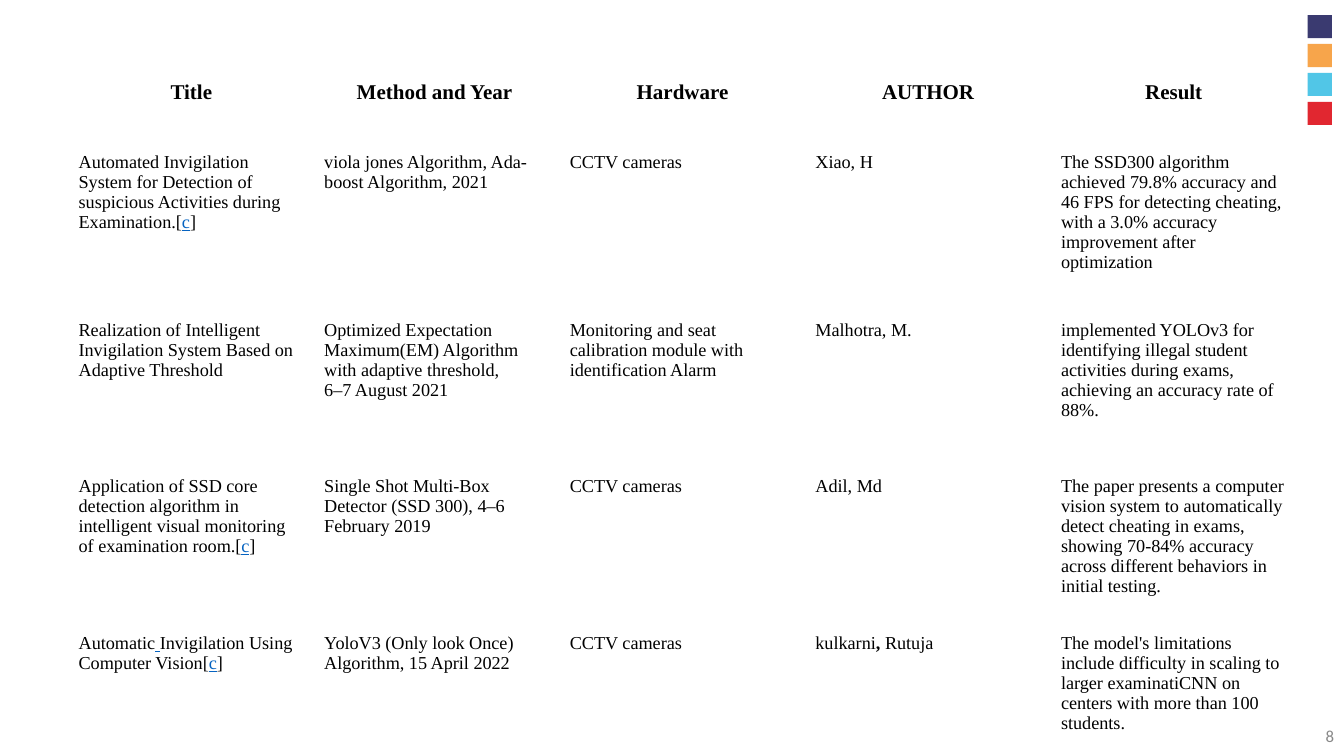
from dataclasses import dataclass

from pptx import Presentation
from pptx.dml.color import RGBColor
from pptx.enum.shapes import MSO_SHAPE
from pptx.enum.text import MSO_ANCHOR, PP_ALIGN
from pptx.util import Inches, Pt


@dataclass(frozen=True)
class Theme:
    ink: str = "000000"
    link: str = "0563C1"
    muted: str = "888888"
    accents: tuple = ("3A3A70", "F7A54B", "51C6E7", "E12730")
    table_font: str = "Times New Roman"
    number_font: str = "Calibri"
    header_size: int = 15
    body_size: int = 13
    number_size: int = 12


THEME = Theme()
BLANK_LAYOUT = 6
LINK, BOLD = "link", "bold"
CITATION = (("[", None), ("c", LINK), ("]", None))

HEADERS = ("Title", "Method and Year ", "Hardware", "AUTHOR", "Result")
ROW_HEIGHTS = (0.71, 1.67, 1.55, 1.55, 1.06)
# A cell is plain text, or a tuple of (text, style) runs.
STUDIES = (
    (
        (("Automated Invigilation System for Detection of suspicious "
          "Activities during Examination.", None), *CITATION),
        "viola jones Algorithm, Ada-boost Algorithm, 2021",
        "CCTV cameras",
        "Xiao, H",
        "The SSD300 algorithm achieved 79.8% accuracy and 46 FPS for detecting "
        "cheating, with a 3.0% accuracy improvement after optimization",
    ),
    (
        "Realization of Intelligent Invigilation System Based on Adaptive Threshold",
        "Optimized Expectation Maximum(EM) Algorithm with adaptive threshold,\n"
        "6–7 August 2021",
        "Monitoring and seat calibration module with identification Alarm",
        "Malhotra, M.",
        "implemented YOLOv3 for identifying illegal student activities during "
        "exams, achieving an accuracy rate of 88%.",
    ),
    (
        (("Application of SSD core detection algorithm in intelligent visual "
          "monitoring of examination room.", None), *CITATION),
        "Single Shot Multi-Box Detector (SSD 300), 4–6 February 2019",
        "CCTV cameras",
        "Adil, Md",
        "The paper presents a computer vision system to automatically detect "
        "cheating in exams, showing 70-84% accuracy across different behaviors "
        "in initial testing.",
    ),
    (
        (("Automatic", None), (" ", LINK),
         ("Invigilation Using Computer Vision", None), *CITATION),
        "YoloV3 (Only look Once) Algorithm, 15 April 2022",
        "CCTV cameras",
        (("kulkarni", None), (", ", BOLD), ("Rutuja", None)),
        "The model's limitations include difficulty in scaling to larger "
        "examinatiCNN on centers with more than 100 students.",
    ),
)


def set_font(font, name, size, color, bold=False):
    font.name, font.size, font.bold = name, Pt(size), bold
    font.color.rgb = RGBColor.from_string(color)


def write_runs(paragraph, runs):
    for text, style in runs:
        run = paragraph.add_run()
        run.text = text
        if style == LINK:
            run.font.underline = True
            run.font.color.rgb = RGBColor.from_string(THEME.link)
        elif style == BOLD:
            run.font.bold = True


def fill_cell(cell, content, is_header):
    cell.fill.background()
    cell.margin_top = cell.margin_bottom = Inches(0.04)
    frame = cell.text_frame
    if isinstance(content, str):
        frame.text = content
    else:
        write_runs(frame.paragraphs[0], content)
    size = THEME.header_size if is_header else THEME.body_size
    for paragraph in frame.paragraphs:
        paragraph.alignment = PP_ALIGN.CENTER if is_header else PP_ALIGN.LEFT
        set_font(paragraph.font, THEME.table_font, size, THEME.ink, is_header)


def add_study_table(slide, left, top, width):
    rows = (HEADERS, *STUDIES)
    table = slide.shapes.add_table(
        len(rows), len(HEADERS), Inches(left), Inches(top),
        Inches(width), Inches(sum(ROW_HEIGHTS))).table
    table.first_row = table.horz_banding = False
    for column in table.columns:
        column.width = Inches(width / len(HEADERS))
    for index, (contents, height) in enumerate(zip(rows, ROW_HEIGHTS)):
        table.rows[index].height = Inches(height)
        for cell, content in zip(table.rows[index].cells, contents):
            fill_cell(cell, content, is_header=index == 0)


def add_accent_squares(slide, left, top, width, height):
    """Stack one square per accent colour, evenly spread over the box."""
    side = 0.23
    pitch = (height - side) / (len(THEME.accents) - 1)
    for index, color in enumerate(THEME.accents):
        square = slide.shapes.add_shape(
            MSO_SHAPE.RECTANGLE, Inches(left), Inches(top + index * pitch),
            Inches(width), Inches(side))
        square.shadow.inherit = False
        square.fill.solid()
        square.fill.fore_color.rgb = RGBColor.from_string(color)
        square.line.fill.background()


def add_page_number(slide, number, left, top, width, height):
    frame = slide.shapes.add_textbox(
        Inches(left), Inches(top), Inches(width), Inches(height)).text_frame
    frame.word_wrap = True
    frame.vertical_anchor = MSO_ANCHOR.MIDDLE
    frame.text = str(number)
    paragraph = frame.paragraphs[0]
    paragraph.alignment = PP_ALIGN.RIGHT
    set_font(paragraph.font, THEME.number_font, THEME.number_size, THEME.muted)


def main():
    deck = Presentation()
    deck.slide_width, deck.slide_height = Inches(13.33), Inches(7.5)
    slide = deck.slides.add_slide(deck.slide_layouts[BLANK_LAYOUT])
    add_accent_squares(slide, 12.97, 0.15, 0.24, 1.09)
    add_page_number(slide, 8, 10.33, 7.1, 3, 0.4)
    add_study_table(slide, 0.68, 0.76, 12.18)
    deck.save("out.pptx")


if __name__ == "__main__":
    main()
